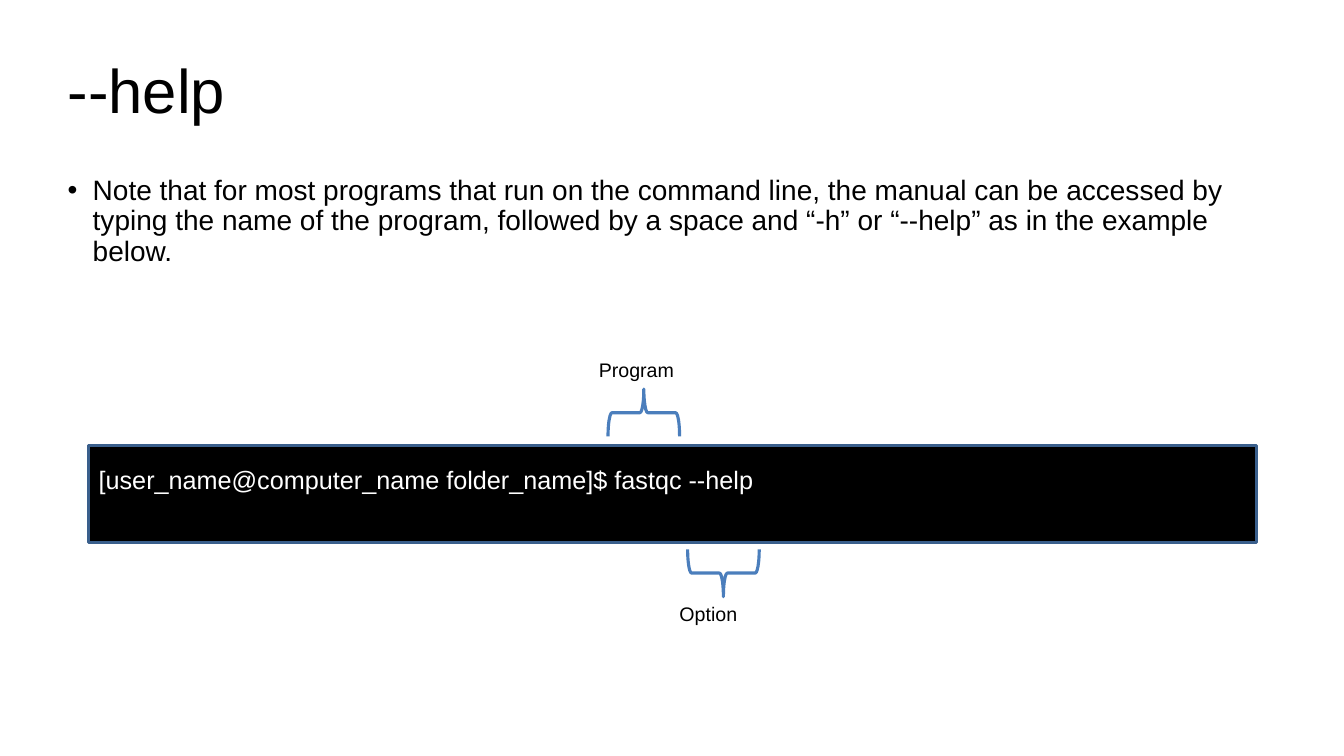
from dataclasses import dataclass

from lxml.etree import SubElement
from pptx import Presentation
from pptx.dml.color import RGBColor
from pptx.enum.shapes import MSO_SHAPE
from pptx.enum.text import MSO_ANCHOR, PP_ALIGN
from pptx.oxml.ns import qn
from pptx.shapes.autoshape import Shape
from pptx.slide import Slide
from pptx.text.text import TextFrame
from pptx.util import Inches, Pt

FONT = "Arial"
COLORS = {
    "text": "000000",
    "terminal": "000000",
    "terminal_border": "3A5F8C",
    "terminal_text": "FFFFFF",
    "brace": "4B7EBC",
}
BRACE_WIDTH, BRACE_HEIGHT = 0.47, 0.71
LABEL_WIDTH, LABEL_HEIGHT = 1.09, 0.34


@dataclass
class Callout:
    label: str
    label_left: float
    label_top: float
    brace_left: float
    brace_top: float
    rotation: int


CALLOUTS = [
    Callout("Program", 5.84, 3.5, 6.15, 3.74, 90),
    Callout("Option", 6.64, 5.92, 6.94, 5.33, 270),
]


def color(name: str) -> RGBColor:
    return RGBColor.from_string(COLORS[name])


def write(tf: TextFrame, text: str, size: int, color_name: str = "text") -> None:
    tf.word_wrap = True
    p = tf.paragraphs[0]
    p.text = text
    p.alignment = PP_ALIGN.LEFT
    font = p.runs[0].font
    font.name, font.size = FONT, Pt(size)
    font.color.rgb = color(color_name)


def clear_margins(tf: TextFrame) -> None:
    tf.margin_left = tf.margin_right = tf.margin_top = tf.margin_bottom = 0


def add_outlined(slide: Slide, kind: MSO_SHAPE, left: float, top: float,
                 width: float, height: float, line: str, weight: float) -> Shape:
    sp = slide.shapes.add_shape(kind, Inches(left), Inches(top),
                                Inches(width), Inches(height))
    sp.shadow.inherit = False
    sp.line.color.rgb = color(line)
    sp.line.width = Pt(weight)
    return sp


def add_title(slide: Slide) -> None:
    title = slide.shapes.title
    title.left, title.top = Inches(0.67), Inches(0.3)
    title.width, title.height = Inches(12), Inches(1.25)
    tf = title.text_frame
    clear_margins(tf)
    tf.vertical_anchor = MSO_ANCHOR.MIDDLE
    write(tf, "--help", 44)
    tf.paragraphs[0].line_spacing = 0.9


def add_note(slide: Slide) -> None:
    box = slide.shapes.add_textbox(Inches(0.67), Inches(1.75), Inches(12), Inches(1.84))
    tf = box.text_frame
    clear_margins(tf)
    write(tf, "Note that for most programs that run on the command line, the manual "
              "can be accessed by typing the name of the program, followed by a space "
              "and “-h” or “--help” as in the example below.", 20)
    p = tf.paragraphs[0]
    p.line_spacing = 0.9
    # Hanging bullet
    pPr = p._p.get_or_add_pPr()
    pPr.set("marL", str(Inches(0.25)))
    pPr.set("indent", str(Inches(-0.25)))
    SubElement(pPr, qn("a:buFont")).set("typeface", FONT)
    SubElement(pPr, qn("a:buChar")).set("char", "•")


def add_terminal(slide: Slide) -> None:
    sp = add_outlined(slide, MSO_SHAPE.RECTANGLE, 0.88, 4.42, 11.58, 0.96,
                      "terminal_border", 2)
    sp.fill.solid()
    sp.fill.fore_color.rgb = color("terminal")
    tf = sp.text_frame
    tf.vertical_anchor = MSO_ANCHOR.MIDDLE
    tf.margin_bottom = Inches(0.34)  # keeps the prompt in the upper half
    write(tf, "[user_name@computer_name folder_name]$ fastqc --help", 18, "terminal_text")


def add_callout(slide: Slide, callout: Callout) -> None:
    brace = add_outlined(slide, MSO_SHAPE.LEFT_BRACE, callout.brace_left,
                         callout.brace_top, BRACE_WIDTH, BRACE_HEIGHT, "brace", 2.25)
    brace.fill.background()
    brace.rotation = callout.rotation
    box = slide.shapes.add_textbox(Inches(callout.label_left), Inches(callout.label_top),
                                   Inches(LABEL_WIDTH), Inches(LABEL_HEIGHT))
    write(box.text_frame, callout.label, 14)


def main() -> None:
    prs = Presentation()
    prs.slide_width, prs.slide_height = Inches(13.33), Inches(7.5)
    slide = prs.slides.add_slide(prs.slide_layouts[5])
    add_title(slide)
    add_terminal(slide)
    add_note(slide)
    for callout in CALLOUTS:
        add_callout(slide, callout)
    prs.save("out.pptx")


if __name__ == "__main__":
    main()
